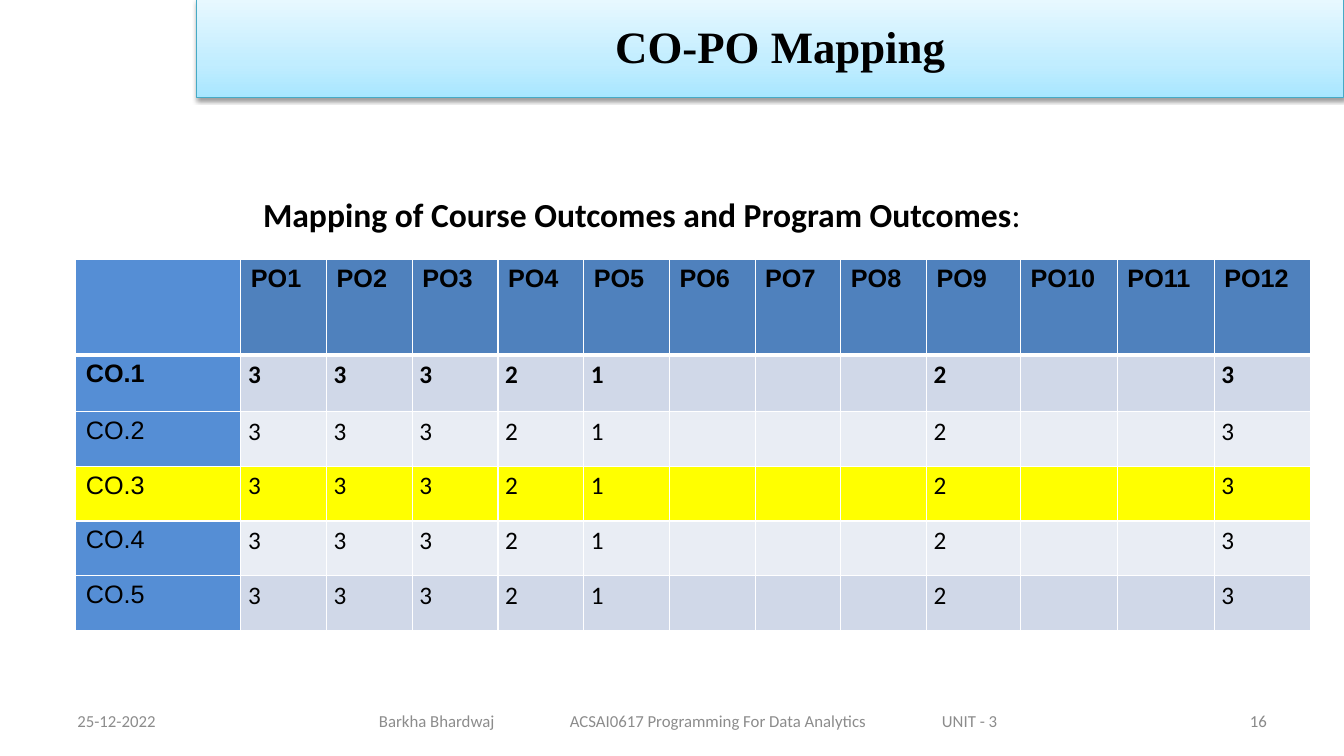
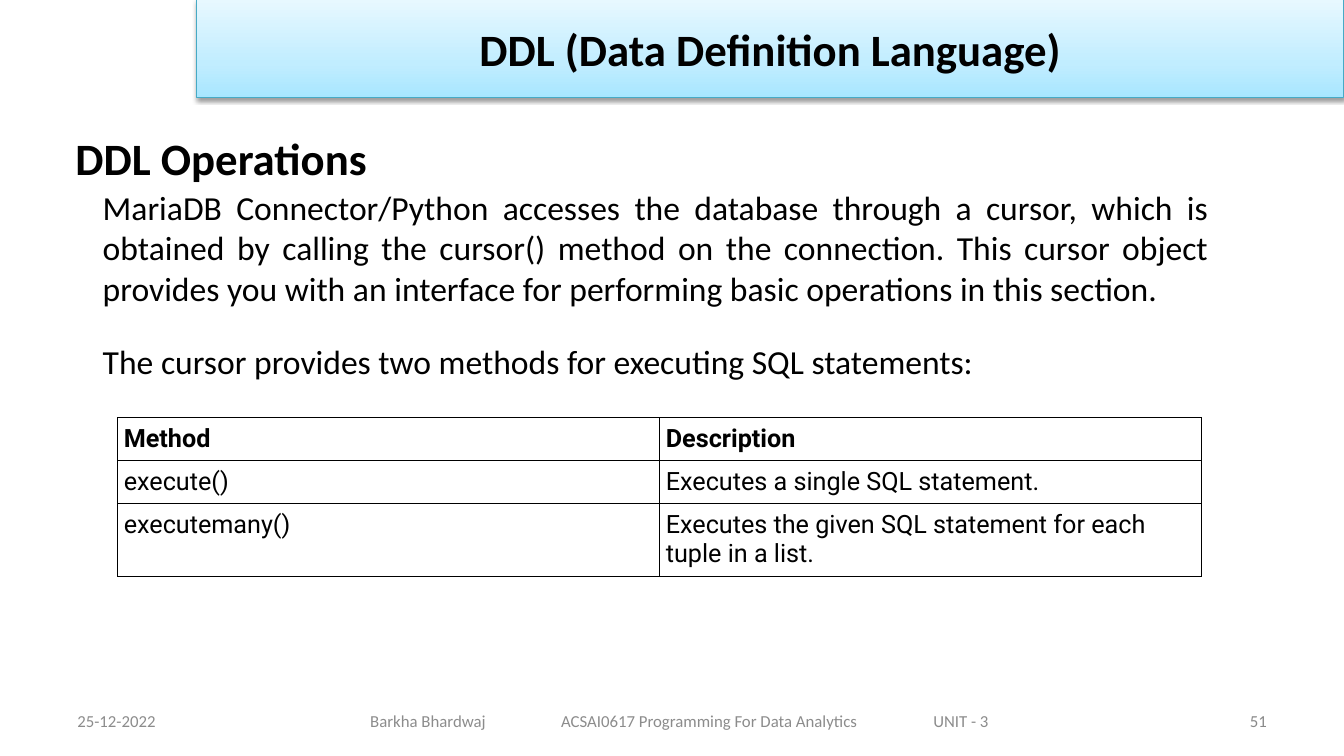
from lxml import etree
from pptx import Presentation
from pptx.dml.color import RGBColor
from pptx.enum.shapes import MSO_SHAPE
from pptx.enum.text import MSO_ANCHOR, PP_ALIGN
from pptx.oxml import parse_xml
from pptx.oxml.ns import qn
from pptx.util import Cm, Pt

RECTANGLE = MSO_SHAPE.RECTANGLE
TOP, MIDDLE = MSO_ANCHOR.TOP, MSO_ANCHOR.MIDDLE
LEFT, CENTER = PP_ALIGN.LEFT, PP_ALIGN.CENTER
RIGHT, JUSTIFY = PP_ALIGN.RIGHT, PP_ALIGN.JUSTIFY
NAMESPACE = 'xmlns:a="http://schemas.openxmlformats.org/drawingml/2006/main"'

BLACK, WHITE = "000000", "FFFFFF"
FOOTER_GRAY, NUMBER_GRAY = "8C8C8C", "898989"
BAND_LINE = "46AAC5"
BAND_STOPS = [(0, "A7E6FF"), (35, "C1EDFF"), (100, "E7F8FF")]
HEADER_BLUE, LABEL_BLUE, YELLOW = "4F81BD", "558ED5", "FFFF00"
DARK_ROW, LIGHT_ROW = "D0D8E8", "E9EDF4"


def write_text(frame, text, size=24, font="Calibri", color=BLACK, bold=False,
               align=LEFT, anchor=TOP, spacing=None):
    """Add a run to the first paragraph of a frame and return the paragraph."""
    frame.word_wrap = True
    frame.vertical_anchor = anchor
    para = frame.paragraphs[0]
    para.alignment = align
    if spacing:
        para.line_spacing = spacing
    span = para.add_run()
    span.text = text
    span.font.size = Pt(size)
    span.font.name = font
    span.font.bold = bold
    span.font.color.rgb = RGBColor.from_string(color)
    return para


def style_cell(cell, border, width, fill=None, top=None, bottom=None):
    """Set the borders of a cell (widths in points), then its fill."""
    properties = cell._tc.get_or_add_tcPr()
    sides = {"L": width, "R": width, "T": top or width, "B": bottom or width}
    for side, points in sides.items():
        properties.append(parse_xml(
            f'<a:ln{side} {NAMESPACE} w="{Pt(points)}"><a:solidFill>'
            f'<a:srgbClr val="{border}"/></a:solidFill></a:ln{side}>'))
    if fill:
        cell.fill.solid()
        cell.fill.fore_color.rgb = RGBColor.from_string(fill)
    else:
        cell.fill.background()


deck = Presentation()
deck.slide_width, deck.slide_height = Cm(33.87), Cm(19.05)

# Title band and footer of each page
# title, font, line spacing, left inset, course line left, page number
pages = []
for title, font, spacing, inset, course_left, number in [
    ("CO-PO Mapping", "Times New Roman", 0.9, 0.75, 9.3, "16"),
    ("DDL (Data Definition Language)", "Calibri", None, 0.25, 9.08, "51"),
]:
    page = deck.slides.add_slide(deck.slide_layouts[6])
    pages.append(page)

    band = page.shapes.add_shape(RECTANGLE, Cm(4.96), 0, Cm(28.91), Cm(2.46))
    band.line.color.rgb = RGBColor.from_string(BAND_LINE)
    band.line.width = Pt(0.75)
    band.fill.background()
    band.shadow.inherit = False
    stops = "".join(f'<a:gs pos="{position * 1000}"><a:srgbClr val="{color}"/></a:gs>'
                    for position, color in BAND_STOPS)
    properties = band.element.spPr
    properties.replace(properties.find(qn("a:noFill")), parse_xml(
        f'<a:gradFill {NAMESPACE} rotWithShape="1"><a:gsLst>{stops}</a:gsLst>'
        '<a:lin ang="16200000" scaled="0"/></a:gradFill>'))
    properties.find(qn("a:effectLst")).append(parse_xml(
        f'<a:outerShdw {NAMESPACE} blurRad="{Pt(3.1)}" dist="{Pt(1.6)}" dir="5400000" '
        'rotWithShape="0"><a:srgbClr val="000000"><a:alpha val="38000"/></a:srgbClr>'
        '</a:outerShdw>'))
    band.text_frame.margin_left = Cm(inset)
    write_text(band.text_frame, title, size=32, font=font, bold=True,
               align=CENTER, anchor=MIDDLE, spacing=spacing)

    for text, left, width, color, align in [
        ("25-12-2022", 1.7, 7.0, FOOTER_GRAY, LEFT),
        ("Barkha Bhardwaj\tACSAI0617 Programming For Data Analytics\tUNIT - 3",
         course_left, 17, FOOTER_GRAY, LEFT),
        (number, 28.18, 4, NUMBER_GRAY, RIGHT),
    ]:
        box = page.shapes.add_textbox(Cm(left), Cm(17.65), Cm(width), Cm(1.02))
        para = write_text(box.text_frame, text, size=12, color=color,
                          align=align, anchor=MIDDLE)
        if "\t" in text:
            tabs = etree.SubElement(para._p.get_or_add_pPr(), qn("a:tabLst"))
            for position in (4.81, 14.19):
                etree.SubElement(tabs, qn("a:tab"), pos=str(Cm(position)), algn="l")

mapping_page, ddl_page = pages

# Mapping: heading
box = mapping_page.shapes.add_textbox(Cm(6.38), Cm(4.77), Cm(21.54), Cm(1.28))
write_text(box.text_frame, "Mapping of Course Outcomes and Program Outcomes", bold=True)
write_text(box.text_frame, ":")

# Mapping: table of outcomes
outcomes = [f"PO{number}" for number in range(1, 13)]
levels = {"PO1": 3, "PO2": 3, "PO3": 3, "PO4": 2, "PO5": 1, "PO9": 2, "PO12": 3}
widths = [4.16] + [2.16] * 8 + [2.37] + [2.44] * 3
heights = [2.41, 1.43] + [1.38] * 4
row_fills = [HEADER_BLUE, DARK_ROW, LIGHT_ROW, YELLOW, LIGHT_ROW, DARK_ROW]

table = mapping_page.shapes.add_table(
    len(heights), len(widths), Cm(1.91), Cm(6.53), Cm(sum(widths)), Cm(sum(heights))).table
table.first_row = table.horz_banding = False
for column, width in zip(table.columns, widths):
    column.width = Cm(width)
for row, (height, row_fill) in enumerate(zip(heights, row_fills)):
    table.rows[row].height = Cm(height)
    if row == 0:
        texts = [""] + outcomes
    else:
        texts = [f"CO.{row}"] + [str(levels.get(outcome, "")) for outcome in outcomes]
    for column, text in enumerate(texts):
        cell = table.cell(row, column)
        is_level = row > 0 and column > 0
        fill = LABEL_BLUE if column == 0 and row_fill != YELLOW else row_fill
        style_cell(cell, WHITE, 1, fill, top=3 if row == 1 else None,
                   bottom=3 if row == 0 else None)
        if is_level:
            cell.margin_left = cell.margin_right = Cm(0.18)
            cell.margin_top = cell.margin_bottom = 0
        if text:
            write_text(cell.text_frame, text, size=18, bold=row < 2,
                       font="Calibri" if is_level else "Arial",
                       spacing=1.15 if is_level else None)

# DDL: heading and paragraphs
for text, left, top, width, height, style in [
    ("DDL Operations", 1.65, 3.18, 30.28, 1.6, {"size": 32, "bold": True}),
    ("MariaDB Connector/Python accesses the database through a cursor, which is obtained "
     "by calling the cursor() method on the connection. This cursor object provides you "
     "with an interface for performing basic operations in this section.",
     2.34, 4.57, 28.37, 3.33, {"align": JUSTIFY, "anchor": MIDDLE}),
    ("The cursor provides two methods for executing SQL statements:",
     2.34, 8.46, 25.4, 1.28, {}),
]:
    box = ddl_page.shapes.add_textbox(Cm(left), Cm(top), Cm(width), Cm(height))
    write_text(box.text_frame, text, **style)

# DDL: table of methods
methods = [
    ("Method", "Description"),
    ("execute()", "Executes a single SQL statement."),
    ("executemany()", "Executes the given SQL statement for each tuple in a list."),
]
heights = [1.07, 1.07, 1.83]
table = ddl_page.shapes.add_table(
    len(methods), 2, Cm(2.96), Cm(10.52), Cm(27.32), Cm(sum(heights))).table
table.first_row = table.horz_banding = False
for row, (texts, height) in enumerate(zip(methods, heights)):
    table.rows[row].height = Cm(height)
    for column, text in enumerate(texts):
        cell = table.cell(row, column)
        style_cell(cell, BLACK, 0.75)
        cell.margin_left = cell.margin_right = Cm(0.16)
        cell.margin_top = cell.margin_bottom = Cm(0.16)
        write_text(cell.text_frame, text, size=18, font="Roboto", bold=row == 0)

deck.save("out.pptx")
